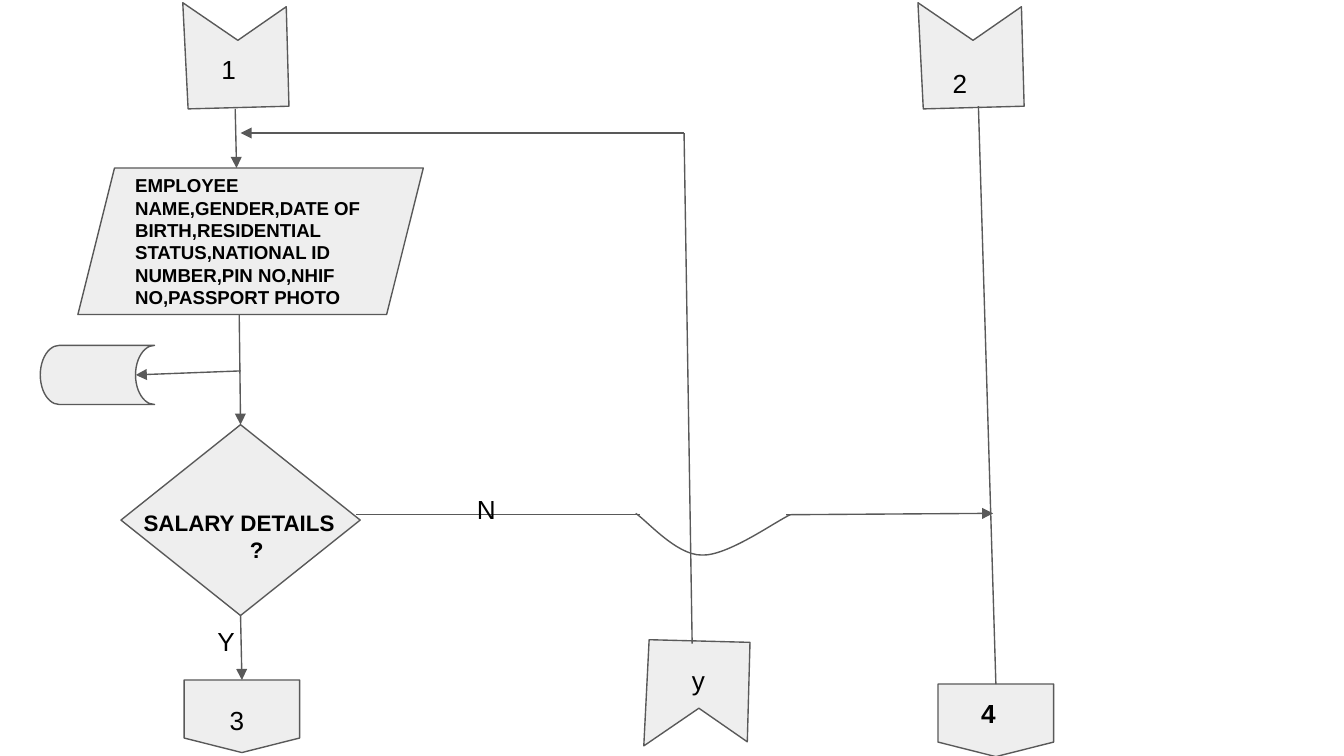
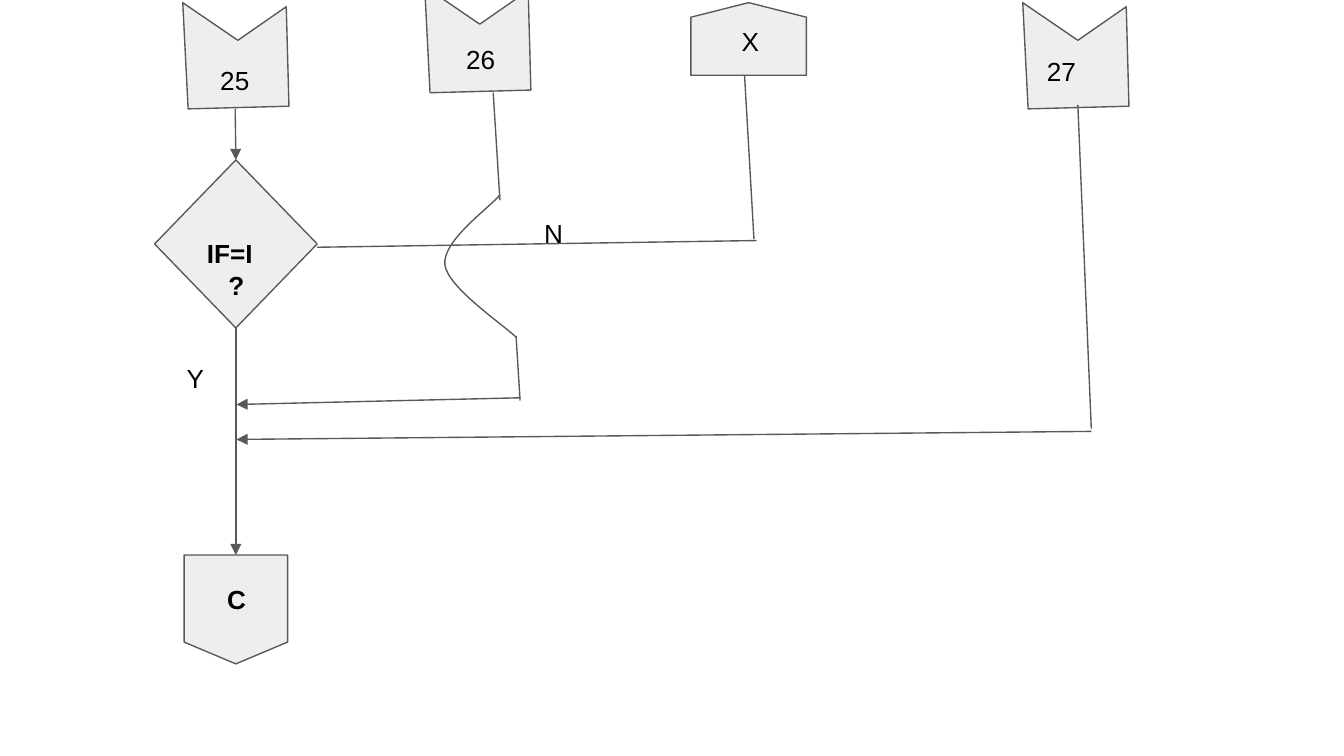
from lxml.etree import SubElement
from pptx import Presentation
from pptx.dml.color import RGBColor
from pptx.enum.shapes import MSO_CONNECTOR, MSO_SHAPE
from pptx.enum.text import MSO_ANCHOR, MSO_AUTO_SIZE, PP_ALIGN
from pptx.oxml.ns import qn
from pptx.util import Inches, Pt

FILL = RGBColor(0xEE, 0xEE, 0xEE)
LINE = RGBColor(0x59, 0x59, 0x59)
INK = RGBColor(0, 0, 0)
FONT = "Arial"
LINE_WIDTH = Pt(0.75)

PAGE_LINK = MSO_SHAPE.FLOWCHART_OFFPAGE_CONNECTOR
DIAMOND = MSO_SHAPE.DIAMOND
TOP, BOTTOM = 0, 2

# Flag outline measured from its left tip; a flipped flag hangs its tips downwards.
FLAG = [(0, 0), (0.04, 0.79), (0.79, 0.77), (0.77, 0.03), (0.41, 0.28)]
LABEL_HEIGHT = 0.43

# nodes:  name -> (shape, box, rotation)
# inside: node name -> (text, size, left margin)
# flags:  (left tip x, tip y, flipped)
# lines:  (start, end, has arrow); an end is a point or a (node name, side)
# curves: start point followed by three points for each Bezier segment
# labels: (text, left, top, width)
# questions: (left, top, width, height, size, [(text, indent), ...])
FLOWCHARTS = [
    {
        "nodes": {
            "employee": (MSO_SHAPE.PARALLELOGRAM, (0.58, 1.25, 2.57, 1.09), 0),
            "storage": (MSO_SHAPE.FLOWCHART_STORED_DATA, (0.3, 2.57, 0.85, 0.44), 0),
            "salary": (DIAMOND, (0.9, 3.16, 1.78, 1.42), 0),
            "3": (PAGE_LINK, (1.37, 5.06, 0.86, 0.54), 0),
            "4": (PAGE_LINK, (6.98, 5.09, 0.86, 0.54), 0),
        },
        "inside": {
            "employee": ("EMPLOYEE NAME,GENDER,DATE OF BIRTH,RESIDENTIAL "
                         "STATUS,NATIONAL ID NUMBER,PIN NO,NHIF NO,PASSPORT PHOTO",
                         10, 0.1),
            "4": ("4", 14, 0.32),
        },
        "flags": [(1.36, 0.02, False), (6.83, 0.02, False), (4.79, 5.55, True)],
        "lines": [
            ((1.75, 0.81), (1.76, 1.25), True),
            ((1.78, 2.34), ("salary", TOP), True),
            ((1.79, 2.76), (1.01, 2.79), True),
            (("salary", BOTTOM), ("3", TOP), True),
            ((7.28, 0.79), ("4", TOP), False),
            ((5.15, 4.79), (5.09, 0.99), False),
            ((5.09, 0.99), (1.79, 0.99), True),
            ((2.65, 3.83), (4.76, 3.83), False),
            ((5.85, 3.83), (7.39, 3.82), True),
        ],
        "curves": [[(4.73, 3.82), (4.81, 3.87), (5.03, 4.13), (5.22, 4.13),
                    (5.41, 4.14), (5.77, 3.88), (5.88, 3.83)]],
        "labels": [
            ("1", 1.55, 0.3, 0.47),
            ("3", 1.61, 5.14, 0.47),
            ("N", 3.45, 3.57, 0.5),
            ("2", 6.99, 0.4, 0.41),
            ("Y", 1.52, 4.55, 0.44),
            ("y", 5.05, 4.84, 0.3),
        ],
        "questions": [(0.74, 3.69, 2.2, 0.6, 12,
                       [("SALARY DETAILS", 0.23), ("?", 1.02)])],
    },
    {
        "nodes": {
            "if": (DIAMOND, (1.15, 1.19, 1.21, 1.25), 0),
            "C": (PAGE_LINK, (1.37, 4.13, 0.77, 0.81), 0),
            "X": (PAGE_LINK, (5.14, 0.02, 0.86, 0.54), 180),
        },
        "inside": {"C": ("C", 14, 0.32)},
        "flags": [(1.36, 0.02, False), (7.61, 0.02, False), (3.16, -0.1, False)],
        "lines": [
            ((1.75, 0.81), ("if", TOP), True),
            (("if", BOTTOM), ("C", TOP), True),
            ((8.02, 0.78), (8.12, 3.19), False),
            ((8.12, 3.21), (1.76, 3.27), True),
            ((2.36, 1.84), (5.63, 1.79), False),
            ((5.61, 1.78), (5.54, 0.56), False),
            ((3.67, 0.69), (3.72, 1.49), False),
            ((3.84, 2.5), (3.87, 2.98), False),
            ((3.87, 2.96), (1.76, 3.01), True),
        ],
        "curves": [[(3.72, 1.45), (3.65, 1.54), (3.29, 1.79), (3.31, 1.97),
                    (3.33, 2.14), (3.75, 2.42), (3.84, 2.51)]],
        "labels": [
            ("25", 1.54, 0.38, 0.45),
            ("X", 5.42, 0.09, 0.42),
            ("26", 3.37, 0.22, 0.45),
            ("27", 7.69, 0.31, 0.45),
            ("Y", 1.29, 2.6, 0.42),
            ("N", 3.95, 1.52, 0.65),
        ],
        "questions": [(1.44, 1.67, 0.92, 0.67, 14, [("IF=I", 0), ("?", 0.16)])],
    },
]


def inches(values):
    return [Inches(value) for value in values]


def style_outline(shape, filled=True):
    shape.shadow.inherit = False
    if filled:
        shape.fill.solid()
        shape.fill.fore_color.rgb = FILL
    else:
        shape.fill.background()
    shape.line.color.rgb = LINE
    shape.line.width = LINE_WIDTH


def write(shape, rows, size, bold, margin_left=0.1):
    """Fill a shape with (text, indent) rows, one paragraph each."""
    frame = shape.text_frame
    frame.word_wrap = True
    frame.margin_left = Inches(margin_left)
    frame.margin_right = frame.margin_top = frame.margin_bottom = Inches(0.1)
    for index, (text, indent) in enumerate(rows):
        paragraph = frame.add_paragraph() if index else frame.paragraphs[0]
        paragraph.text = text
        paragraph.alignment = PP_ALIGN.LEFT
        paragraph.font.name = FONT
        paragraph.font.size = Pt(size)
        paragraph.font.bold = bold
        paragraph.font.color.rgb = INK
        if indent:
            paragraph._p.get_or_add_pPr().set("marL", str(Inches(indent)))
    return frame


def add_node(shapes, preset, box, rotation):
    node = shapes.add_shape(preset, *inches(box))
    node.rotation = rotation
    style_outline(node)
    return node


def add_outline(shapes, points, close):
    start, *rest = [inches(point) for point in points]
    builder = shapes.build_freeform(*start)
    builder.add_line_segments(rest, close=close)
    outline = builder.convert_to_shape()
    style_outline(outline, filled=close)
    return outline


def add_flag(shapes, left, tip, flipped):
    direction = -1 if flipped else 1
    add_outline(shapes, [(left + x, tip + direction * y) for x, y in FLAG], True)


def add_curve(shapes, points):
    """Draw the points as line segments, then merge each three into a Bezier."""
    curve = add_outline(shapes, points, False)
    segments = list(curve.element.iter(qn("a:lnTo")))
    for first in range(0, len(segments), 3):
        trio = segments[first:first + 3]
        geometry = trio[0].getparent()
        bezier = SubElement(geometry, qn("a:cubicBezTo"))
        for segment in trio:
            bezier.append(segment[0])
            geometry.remove(segment)


def add_line(shapes, nodes, start, end, arrow):
    joined = [stop[0] in nodes for stop in (start, end)]
    points = [(0, 0) if is_joined else inches(stop)
              for is_joined, stop in zip(joined, (start, end))]
    line = shapes.add_connector(MSO_CONNECTOR.STRAIGHT, *points[0], *points[1])
    if joined[0]:
        line.begin_connect(nodes[start[0]], start[1])
    if joined[1]:
        line.end_connect(nodes[end[0]], end[1])
    line.line.color.rgb = LINE
    line.line.width = LINE_WIDTH
    properties = line.element.spPr
    if arrow:
        SubElement(properties.find(qn("a:ln")), qn("a:tailEnd"), type="triangle")
    SubElement(properties, qn("a:effectLst"))


def add_text(shapes, box, rows, size, bold):
    frame = write(shapes.add_textbox(*inches(box)), rows, size, bold)
    frame.auto_size = MSO_AUTO_SIZE.SHAPE_TO_FIT_TEXT


def build_flowchart(shapes, chart):
    nodes = {name: add_node(shapes, *node) for name, node in chart["nodes"].items()}
    for name, (text, size, margin) in chart["inside"].items():
        frame = write(nodes[name], [(text, 0)], size, True, margin)
        frame.vertical_anchor = MSO_ANCHOR.MIDDLE
    for flag in chart["flags"]:
        add_flag(shapes, *flag)
    for line in chart["lines"]:
        add_line(shapes, nodes, *line)
    for curve in chart["curves"]:
        add_curve(shapes, curve)
    for *box, size, rows in chart["questions"]:
        add_text(shapes, box, rows, size, True)
    for text, left, top, width in chart["labels"]:
        add_text(shapes, (left, top, width, LABEL_HEIGHT), [(text, 0)], 14, False)


def main():
    deck = Presentation()
    deck.slide_width = Inches(10)
    deck.slide_height = Inches(10) * 9 // 16
    blank = deck.slide_layouts[6]
    for chart in FLOWCHARTS:
        build_flowchart(deck.slides.add_slide(blank).shapes, chart)
    deck.save("out.pptx")


if __name__ == "__main__":
    main()
